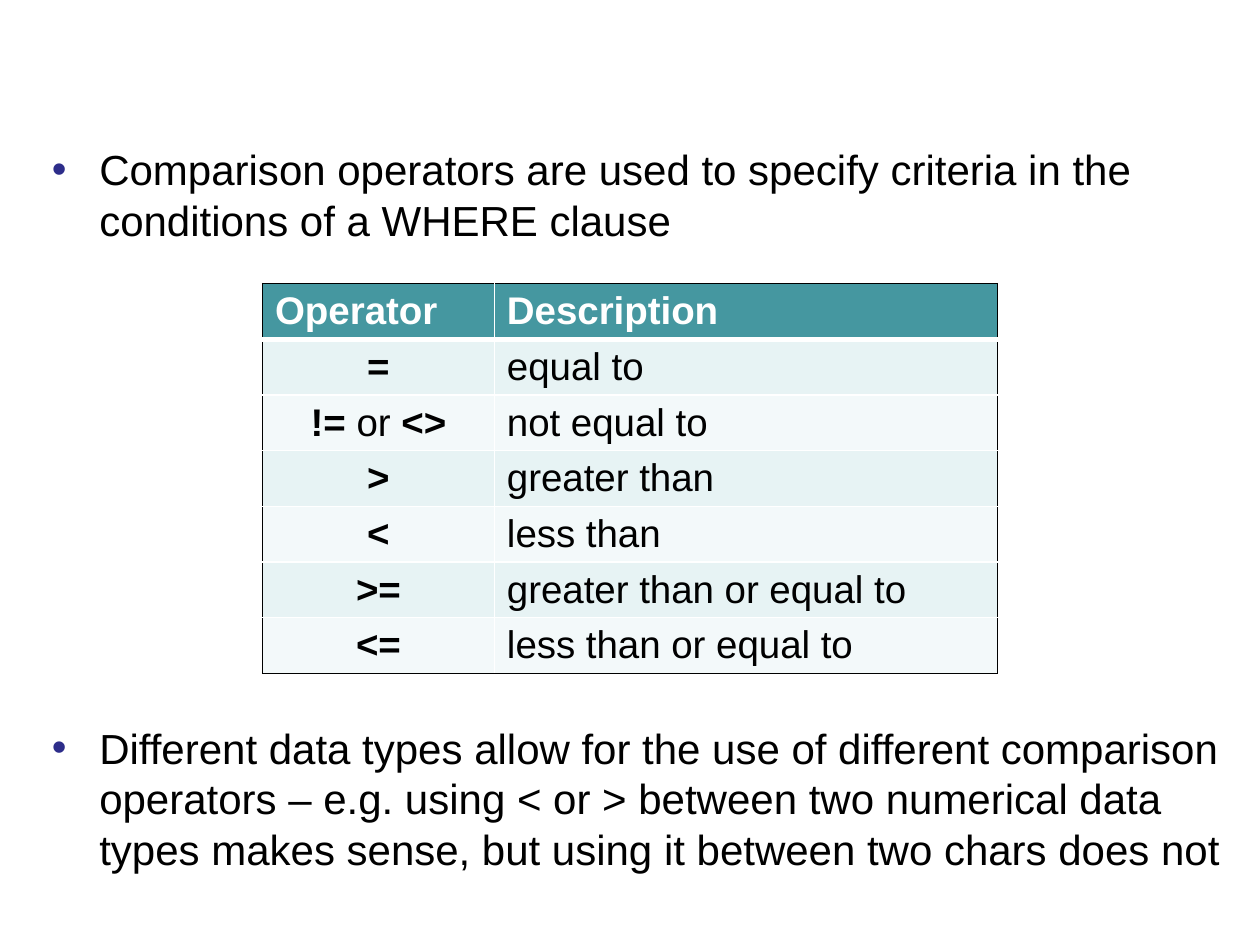
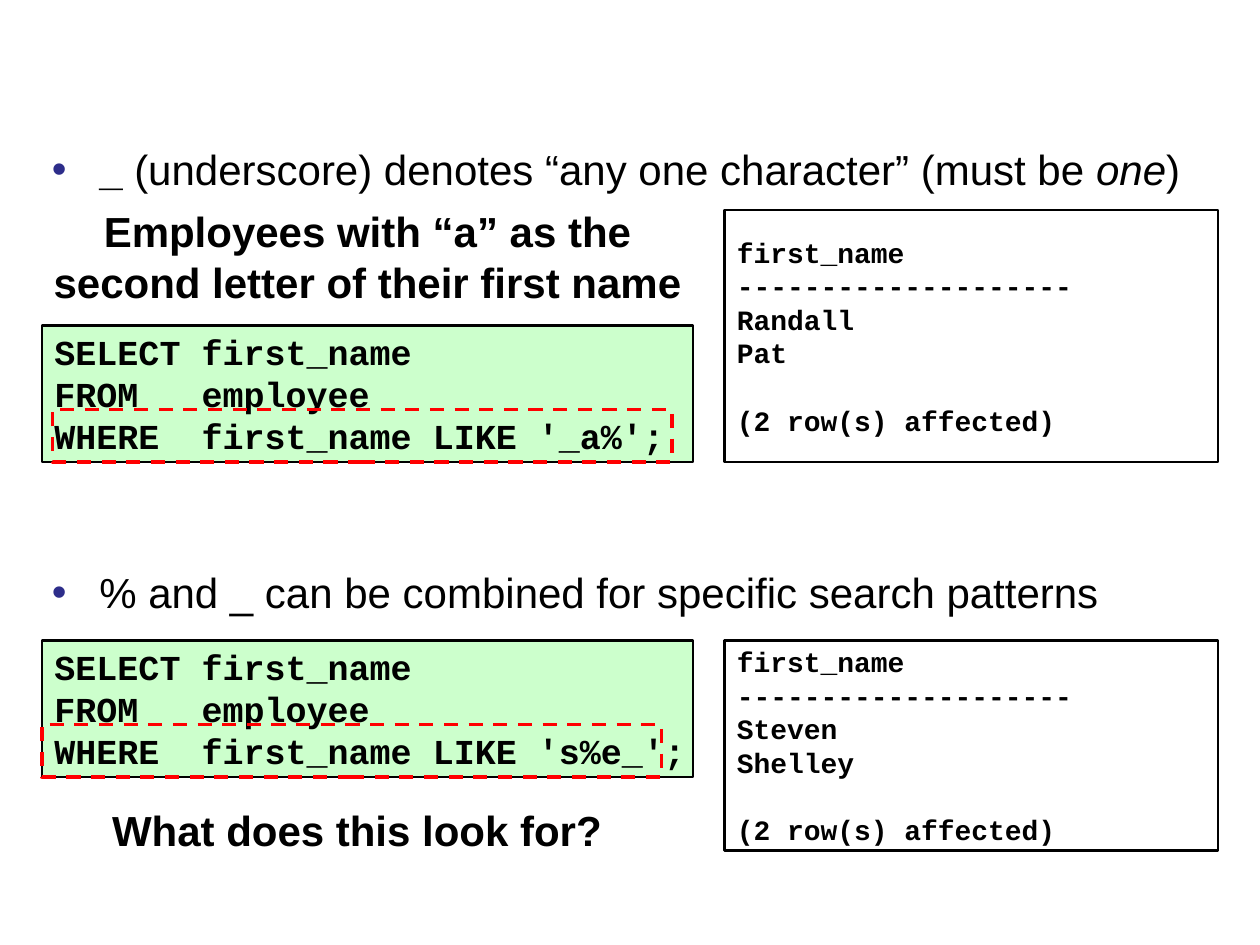
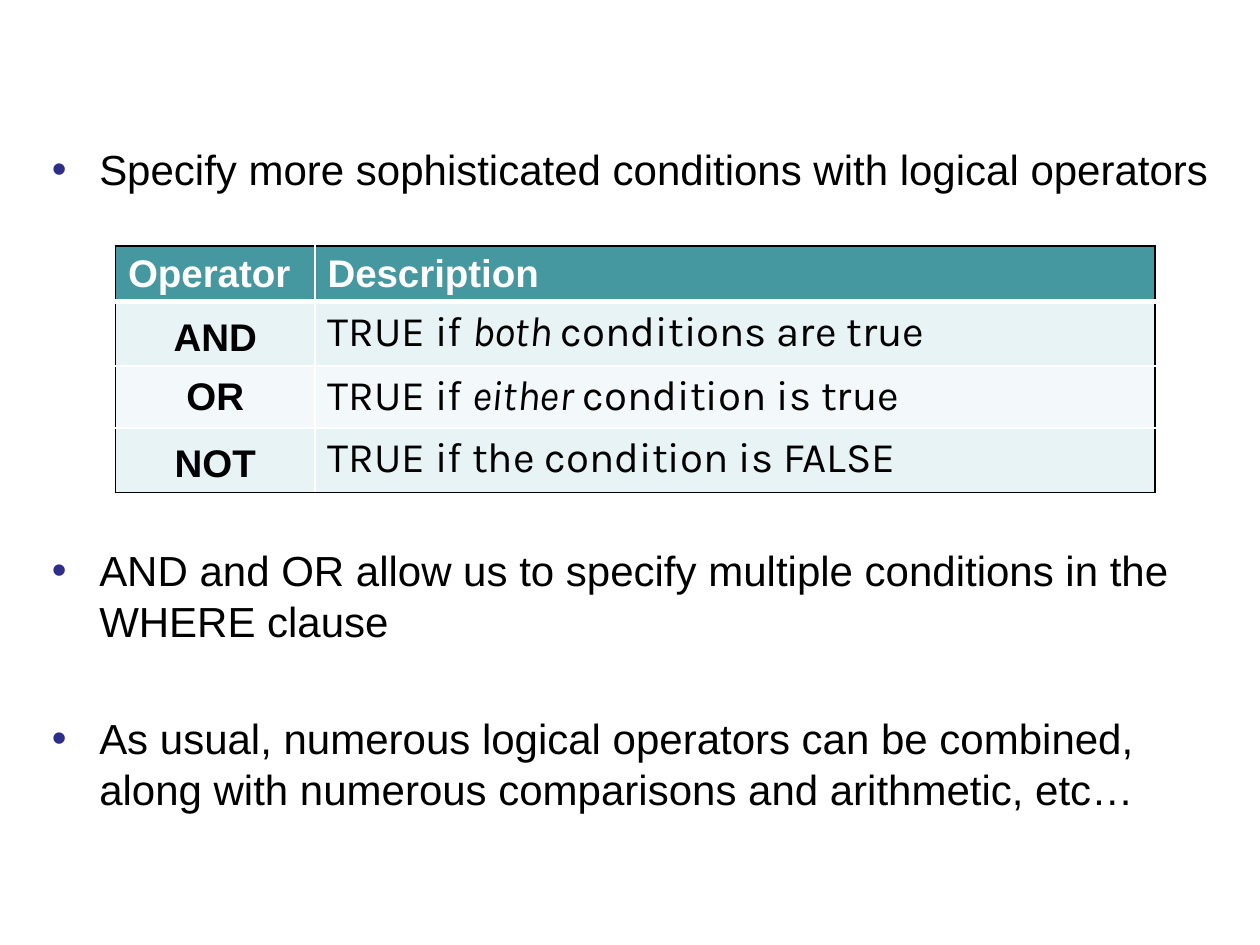
from dataclasses import dataclass
from typing import NamedTuple

from lxml.etree import SubElement
from pptx import Presentation
from pptx.dml.color import RGBColor
from pptx.enum.dml import MSO_LINE
from pptx.enum.shapes import MSO_SHAPE as Preset
from pptx.enum.text import MSO_ANCHOR as Anchor, MSO_AUTO_SIZE as AutoSize, PP_ALIGN as Align
from pptx.oxml.ns import qn
from pptx.oxml.xmlchemy import OxmlElement
from pptx.util import Pt

BLACK, WHITE, RED = "000000", "FFFFFF", "FF0000"
BULLET, CODE_FILL = "2D2D8A", "CCFFCC"
HEADER_FILL, ODD_FILL, EVEN_FILL = "4597A0", "E7F3F4", "F3F9FA"
SANS, MONO, CELL_FONT = "Arial", "Courier New", "Karla"
LINE_FACTOR = 1.2
HEADER_HEIGHT = 31.85
BODY_LEFT, BODY_TOP, BODY_HEIGHT = 22.5, 78.5, 444
INDENT = 27


class Area(NamedTuple):
    left: float
    top: float
    width: float
    height: float


class Span(NamedTuple):
    text: str
    bold: bool = False
    italic: bool = False


class Bullet(NamedTuple):
    spans: list[Span]
    gap: float = 0


class Cell(NamedTuple):
    spans: list[Span]
    font: str = SANS
    size: float = 22
    align: Align = Align.LEFT
    spacing: float = 1.0
    anchor: Anchor = Anchor.TOP


@dataclass
class Grid:
    left: float
    top: float
    columns: list[float]
    heights: list[float]
    rows: list[list[Cell]]


@dataclass
class Panel:
    area: Area
    lines: list[str]
    size: float
    fill: str | None = None
    last_gap: float = 0


def color(value: str) -> RGBColor:
    return RGBColor.from_string(value)


def apply(target, values: dict) -> None:
    for name, value in values.items():
        setattr(target, name, value)


def points(area: Area) -> list[Pt]:
    return [Pt(value) for value in area]


def write(para, spans: list[Span], font: str, size: float, ink: str = BLACK) -> None:
    for part in spans:
        span = para.add_run()
        span.text = part.text
        apply(span.font, {"name": font, "size": Pt(size),
                          "bold": part.bold, "italic": part.italic})
        span.font.color.rgb = color(ink)


def next_para(frame, index: int):
    return frame.paragraphs[0] if index == 0 else frame.add_paragraph()


def add_bullet_mark(para) -> None:
    props = para._p.get_or_add_pPr()
    props.set("marL", str(Pt(INDENT)))
    props.set("indent", str(-Pt(INDENT)))
    tint = SubElement(props, qn("a:buClr"))
    SubElement(tint, qn("a:srgbClr")).set("val", BULLET)
    SubElement(props, qn("a:buFont")).set("typeface", SANS)
    SubElement(props, qn("a:buChar")).set("char", "•")


def add_page(deck, width: float, bullets: list[Bullet]):
    """Add a slide without a title whose body holds the bullets."""
    page = deck.slides.add_slide(deck.slide_layouts[1])
    title = page.shapes.title._element
    title.getparent().remove(title)
    body = page.placeholders[1]
    apply(body, dict(zip(("left", "top", "width", "height"),
                         points(Area(BODY_LEFT, BODY_TOP, width, BODY_HEIGHT)))))
    frame = body.text_frame
    apply(frame, {"auto_size": AutoSize.NONE, "word_wrap": True,
                  "vertical_anchor": Anchor.TOP})
    for index, bullet in enumerate(bullets):
        para = next_para(frame, index)
        apply(para, {"space_before": Pt(bullet.gap), "line_spacing": Pt(24 * LINE_FACTOR)})
        add_bullet_mark(para)
        write(para, bullet.spans, SANS, 24)
    return page


def add_border(cell, side: str, ink: str, width: float, position: int) -> None:
    line = OxmlElement(f"a:ln{side}")
    line.set("w", str(Pt(width)))
    fill = SubElement(line, qn("a:solidFill"))
    SubElement(fill, qn("a:srgbClr")).set("val", ink)
    cell._tc.get_or_add_tcPr().insert(position, line)


def add_grid(page, grid: Grid) -> None:
    header = [Cell([Span(text, bold=True)]) for text in ("Operator", "Description")]
    rows = [header, *grid.rows]
    area = Area(grid.left, grid.top, sum(grid.columns), sum(grid.heights))
    table = page.shapes.add_table(len(rows), len(header), *points(area)).table
    apply(table, {"first_row": False, "horz_banding": False})
    for column, width in zip(table.columns, grid.columns):
        column.width = Pt(width)
    last_row, last_column = len(rows) - 1, len(header) - 1
    for r, row in enumerate(rows):
        table.rows[r].height = Pt(grid.heights[r])
        for c, content in enumerate(row):
            cell = table.cell(r, c)
            cell.fill.solid()
            fill = HEADER_FILL if r == 0 else ODD_FILL if r % 2 else EVEN_FILL
            cell.fill.fore_color.rgb = color(fill)
            cell.vertical_anchor = content.anchor
            para = cell.text_frame.paragraphs[0]
            apply(para, {"alignment": content.align, "line_spacing": content.spacing})
            write(para, content.spans, content.font, content.size, BLACK if r else WHITE)
            borders = {
                "L": (BLACK if c == 0 else WHITE, 1),
                "R": (BLACK if c == last_column else WHITE, 1),
                "T": (BLACK if r == 0 else WHITE, 3 if r == 1 else 1),
                "B": (BLACK if r == last_row else WHITE, 3 if r == 0 else 1),
            }
            for position, (side, (ink, width)) in enumerate(borders.items()):
                add_border(cell, side, ink, width, position)


def add_box(page, area: Area, fill: str | None, ink: str, width: float):
    box = page.shapes.add_shape(Preset.RECTANGLE, *points(area))
    box.shadow.inherit = False
    if fill:
        box.fill.solid()
        box.fill.fore_color.rgb = color(fill)
    else:
        box.fill.background()
    box.line.color.rgb = color(ink)
    box.line.width = Pt(width)
    return box


def add_panel(page, panel: Panel) -> None:
    frame = add_box(page, panel.area, panel.fill, BLACK, 1.5).text_frame
    apply(frame, {"word_wrap": True, "vertical_anchor": Anchor.MIDDLE, "margin_right": 0})
    for index, line in enumerate(panel.lines):
        para = next_para(frame, index)
        is_last = index == len(panel.lines) - 1
        apply(para, {"alignment": Align.LEFT, "line_spacing": Pt(panel.size * LINE_FACTOR),
                     "space_before": Pt(panel.last_gap if is_last else 0)})
        write(para, [Span(line, bold=True)], MONO, panel.size)


def add_highlight(page, left: float, top: float) -> None:
    box = add_box(page, Area(left, top, 354, 30), None, RED, 2)
    box.line.dash_style = MSO_LINE.DASH


def add_caption(page, area: Area, text: str) -> None:
    frame = page.shapes.add_textbox(*points(area)).text_frame
    frame.word_wrap = True
    para = frame.paragraphs[0]
    apply(para, {"alignment": Align.CENTER, "line_spacing": Pt(24 * LINE_FACTOR)})
    write(para, [Span(text, bold=True)], SANS, 24)


def query(top: float, pattern: str) -> Panel:
    lines = ["SELECT first_name", "FROM   employee",
             f"WHERE  first_name LIKE '{pattern}';"]
    return Panel(Area(24, top, 372, 78), lines, 20, CODE_FILL)


def result(top: float, height: float, names: list[str]) -> Panel:
    lines = ["first_name", "-" * 20, *names, "(2 row(s) affected)"]
    return Panel(Area(414, top, 282, height), lines, 16, last_gap=16 * LINE_FACTOR)


def add_comparison_page(deck) -> None:
    page = add_page(deck, 685.5, [
        Bullet([Span("Comparison operators are used to specify criteria in the "
                     "conditions of a WHERE clause")]),
        Bullet([Span("Different data types allow for the use of different comparison "
                     "operators – e.g. using < or > between two numerical data types "
                     "makes sense, but using it between two chars does not")], 273),
    ])
    meanings = [
        ([Span("=", True)], "equal to"),
        ([Span("!=", True), Span(" or "), Span("<>", True)], "not equal to"),
        ([Span(">", True)], "greater than"),
        ([Span("<", True)], "less than"),
        ([Span(">=", True)], "greater than or equal to"),
        ([Span("<=", True)], "less than or equal to"),
    ]
    rows = [[Cell(operator, align=Align.CENTER), Cell([Span(meaning)])]
            for operator, meaning in meanings]
    add_grid(page, Grid(150, 162, [132.5, 287.5], [HEADER_HEIGHT] * 7, rows))


def add_pattern_page(deck) -> None:
    page = add_page(deck, 675.5, [
        Bullet([Span("_ ", bold=True),
                Span("(underscore) denotes “any one character” (must be "),
                Span("one", italic=True), Span(")")]),
        Bullet([Span("% and _ can be combined for specific search patterns")], 213),
    ])
    for panel in (query(186, "_a%"), result(120, 144, ["Randall", "Pat"]),
                  query(366, "s%e_"), result(366, 120, ["Steven", "Shelley"])):
        add_panel(page, panel)
    add_highlight(page, 30, 234)
    add_highlight(page, 24, 414)
    add_caption(page, Area(18, 114, 384, 65.5),
                "Employees with “a” as the second letter of their first name")
    add_caption(page, Area(30, 456, 348, 36), "What does this look for?")


def add_logic_page(deck) -> None:
    page = add_page(deck, 680, [
        Bullet([Span("Specify more sophisticated conditions with logical operators")]),
        Bullet([Span("AND and OR allow us to specify multiple conditions in the "
                     "WHERE clause")], 200.5),
        Bullet([Span("As usual, numerous logical operators can be combined, along with "
                     "numerous comparisons and arithmetic, etc…")], 38.4),
    ])
    meanings = [
        ("AND", 1.2, [Span("TRUE if "), Span("both ", italic=True),
                      Span("conditions are true")]),
        ("OR", 1.0, [Span("TRUE if "), Span("either ", italic=True),
                     Span("condition is true")]),
        ("NOT", 1.2, [Span("TRUE if the condition is FALSE")]),
    ]
    rows = [[Cell([Span(operator, True)], align=Align.CENTER, spacing=spacing,
                  anchor=Anchor.MIDDLE),
             Cell(meaning, CELL_FONT, 24)]
            for operator, spacing, meaning in meanings]
    add_grid(page, Grid(66, 140.5, [114, 480], [HEADER_HEIGHT, 36.7, 35.5, 36.7], rows))


def main() -> None:
    deck = Presentation()
    apply(deck, {"slide_width": Pt(720), "slide_height": Pt(540)})
    for add_content in (add_comparison_page, add_pattern_page, add_logic_page):
        add_content(deck)
    deck.save("out.pptx")


if __name__ == "__main__":
    main()
